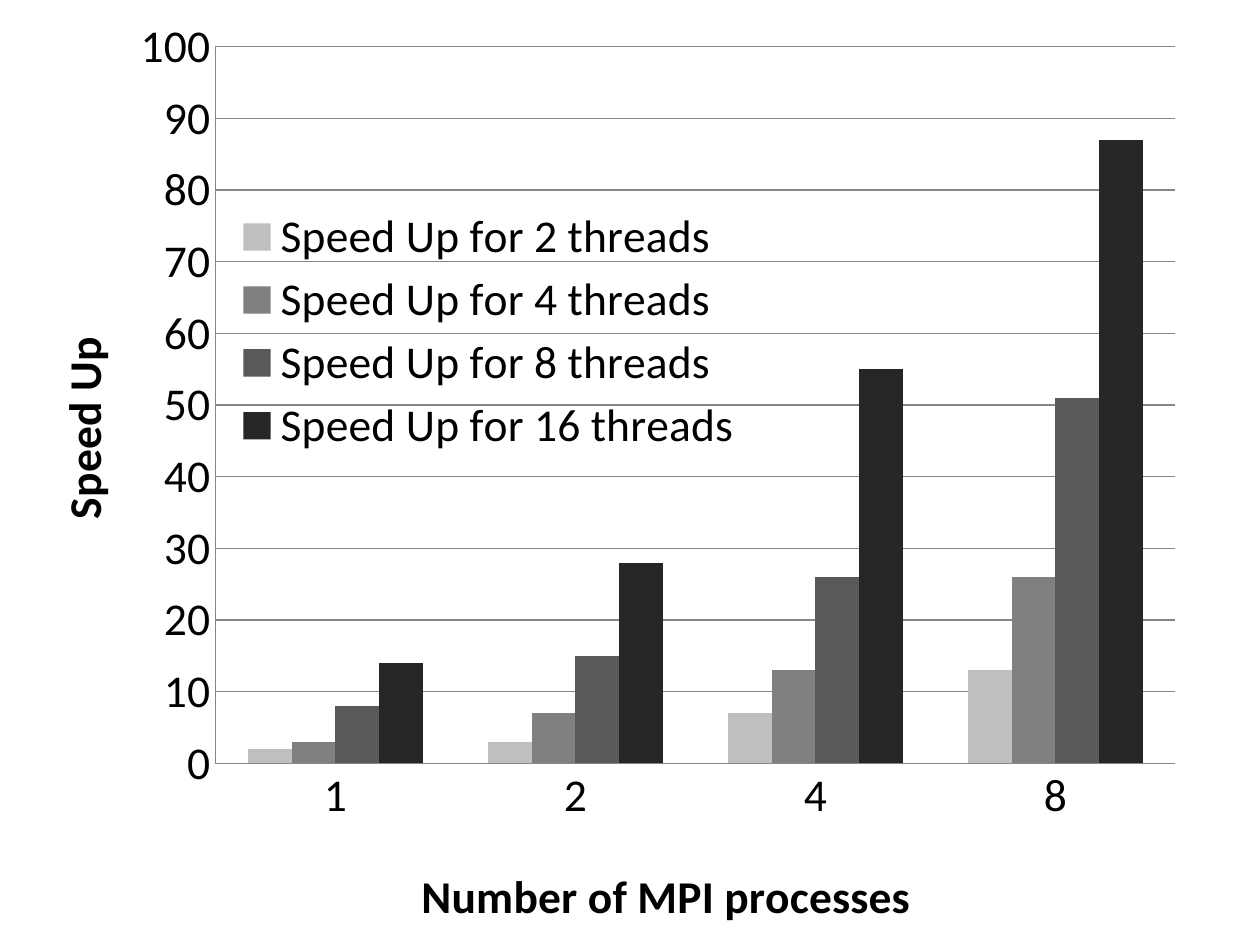
from pptx import Presentation
from pptx.chart.data import CategoryChartData
from pptx.dml.color import RGBColor
from pptx.enum.chart import XL_CHART_TYPE, XL_LEGEND_POSITION, XL_TICK_MARK
from pptx.oxml import parse_xml
from pptx.oxml.ns import nsdecls
from pptx.util import Inches, Pt

COLORS = {
    "text": "000000",
    "grid": "868686",
    "2 threads": "BFBFBF",
    "4 threads": "808080",
    "8 threads": "595959",
    "16 threads": "262626",
}
SPEED_UPS = {
    "2 threads": (2, 3, 7, 13),
    "4 threads": (3, 7, 13, 26),
    "8 threads": (8, 15, 26, 51),
    "16 threads": (14, 28, 55, 87),
}
PROCESSES = ("1", "2", "4", "8")
CHART_WIDTH, CHART_HEIGHT = 13.82, 7.5


def format_font(font, size=26, bold=False, color="text", name="Calibri"):
    """Apply typeface, size, weight and colour to a font."""
    font.name, font.size, font.bold = name, Pt(size), bold
    font.color.rgb = RGBColor.from_string(COLORS[color])


def write_text(frame, text, **style):
    """Write one formatted run into a text frame."""
    run = frame.paragraphs[0].add_run()
    run.text = text
    format_font(run.font, **style)


def place(element, index, left, top, width=None, height=None, inner=False):
    """Give a chart part a manual layout, in inches from the chart corner."""
    for old in element.xpath("c:layout"):
        element.remove(old)
    settings = [("layoutTarget", "inner")] if inner else []
    settings += [("xMode", "edge"), ("yMode", "edge"),
                 ("x", left / CHART_WIDTH), ("y", top / CHART_HEIGHT)]
    if width:
        settings += [("w", width / CHART_WIDTH), ("h", height / CHART_HEIGHT)]
    children = "".join(f'<c:{tag} val="{value}"/>' for tag, value in settings)
    element.insert(index, parse_xml(
        f'<c:layout {nsdecls("c")}><c:manualLayout>{children}'
        "</c:manualLayout></c:layout>"))


class SlideBuilder:
    """Holds the chart style and the current slide."""

    def __init__(self, slide, line_width=0.75):
        """Remember the slide and the width of axis lines."""
        self.slide = slide
        self.line_width = line_width

    def line(self, target):
        """Style an axis or gridline."""
        target.format.line.width = Pt(self.line_width)
        target.format.line.color.rgb = RGBColor.from_string(COLORS["grid"])

    def axis(self, axis, title, left, top):
        """Style an axis and place its bold title."""
        axis.major_tick_mark = axis.minor_tick_mark = XL_TICK_MARK.NONE
        self.line(axis)
        format_font(axis.tick_labels.font)
        write_text(axis.axis_title.text_frame, title, bold=True)
        place(axis.axis_title._element, 1, left, top)

    def legend(self, chart):
        """Put the legend over the free upper left of the plot."""
        chart.has_legend = True
        legend = chart.legend
        legend.position = XL_LEGEND_POSITION.RIGHT
        legend.include_in_layout = True
        format_font(legend.font)
        place(legend._element, 1, 1.83, 1.6, 4.1, 2.06)

    def column_chart(self, categories, series):
        """Add the clustered column chart with its series colours."""
        chart_data = CategoryChartData()
        chart_data.categories = categories
        for threads, values in series.items():
            chart_data.add_series(f"Speed Up for {threads}", values)
        chart = self.slide.shapes.add_chart(
            XL_CHART_TYPE.COLUMN_CLUSTERED, 0, 0,
            Inches(CHART_WIDTH), Inches(CHART_HEIGHT), chart_data).chart
        chart.has_title = False
        format_font(chart.font)

        columns = chart.plots[0]
        columns.gap_width, columns.overlap = 150, 0
        columns.vary_by_categories = False
        for threads, bars in zip(series, columns.series):
            bars.format.fill.solid()
            bars.format.fill.fore_color.rgb = RGBColor.from_string(COLORS[threads])

        speed_up = chart.value_axis
        speed_up.minimum_scale, speed_up.maximum_scale = 0, 100
        speed_up.major_unit = 10
        speed_up.has_major_gridlines = True
        self.line(speed_up.major_gridlines)
        self.axis(speed_up, "Speed Up", 0.35, 2.61)
        self.axis(chart.category_axis, "Number of MPI processes", 3.28, 6.8)
        self.legend(chart)
        plot_area = chart._chartSpace.xpath("c:chart/c:plotArea")[0]
        place(plot_area, 0, 1.71, 0.37, 7.62, 5.69, inner=True)


def main():
    """Build and save the slide."""
    deck = Presentation()
    deck.slide_width, deck.slide_height = Inches(10), Inches(7.5)
    builder = SlideBuilder(deck.slides.add_slide(deck.slide_layouts[6]))
    builder.column_chart(PROCESSES, SPEED_UPS)
    deck.save("out.pptx")


main()
